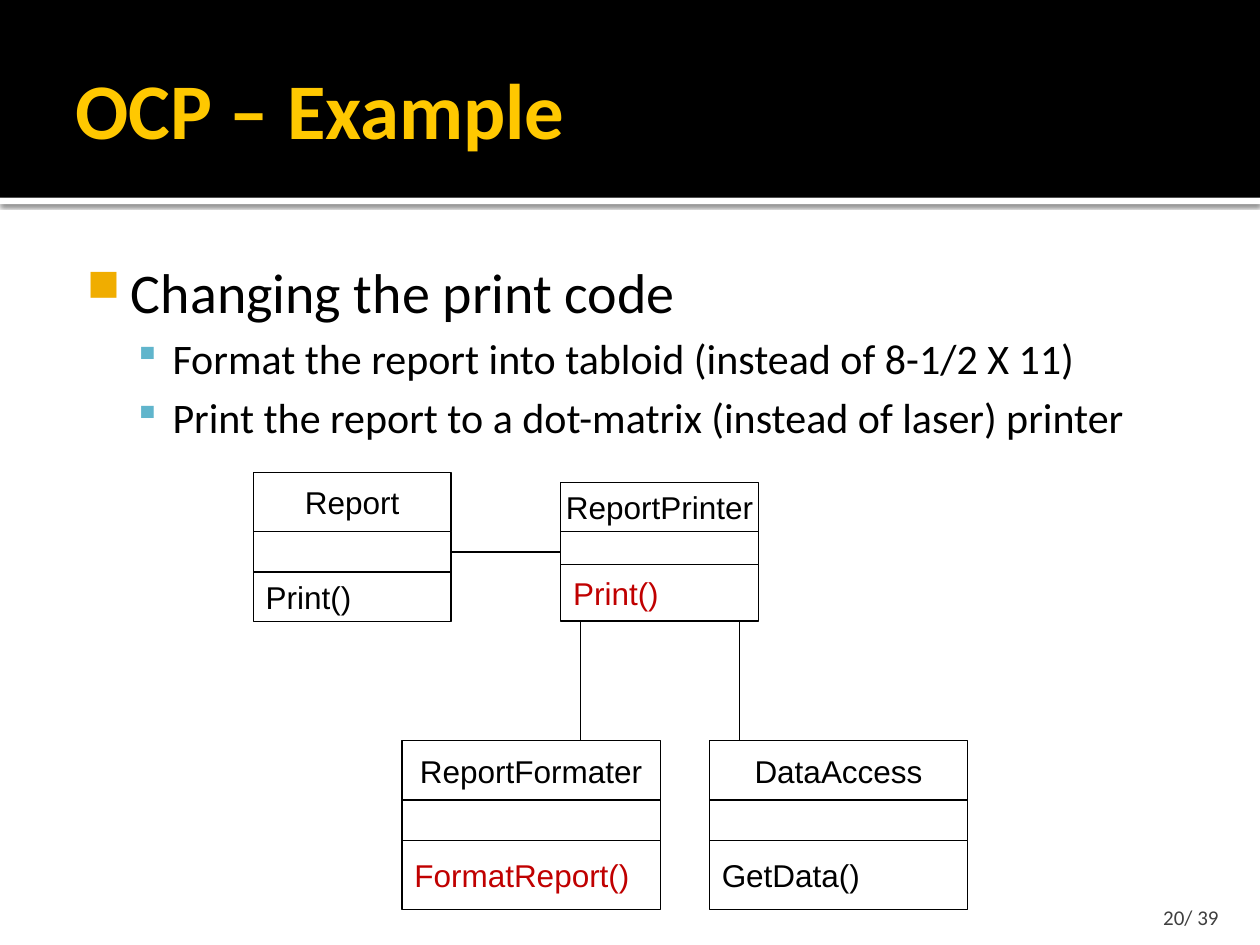
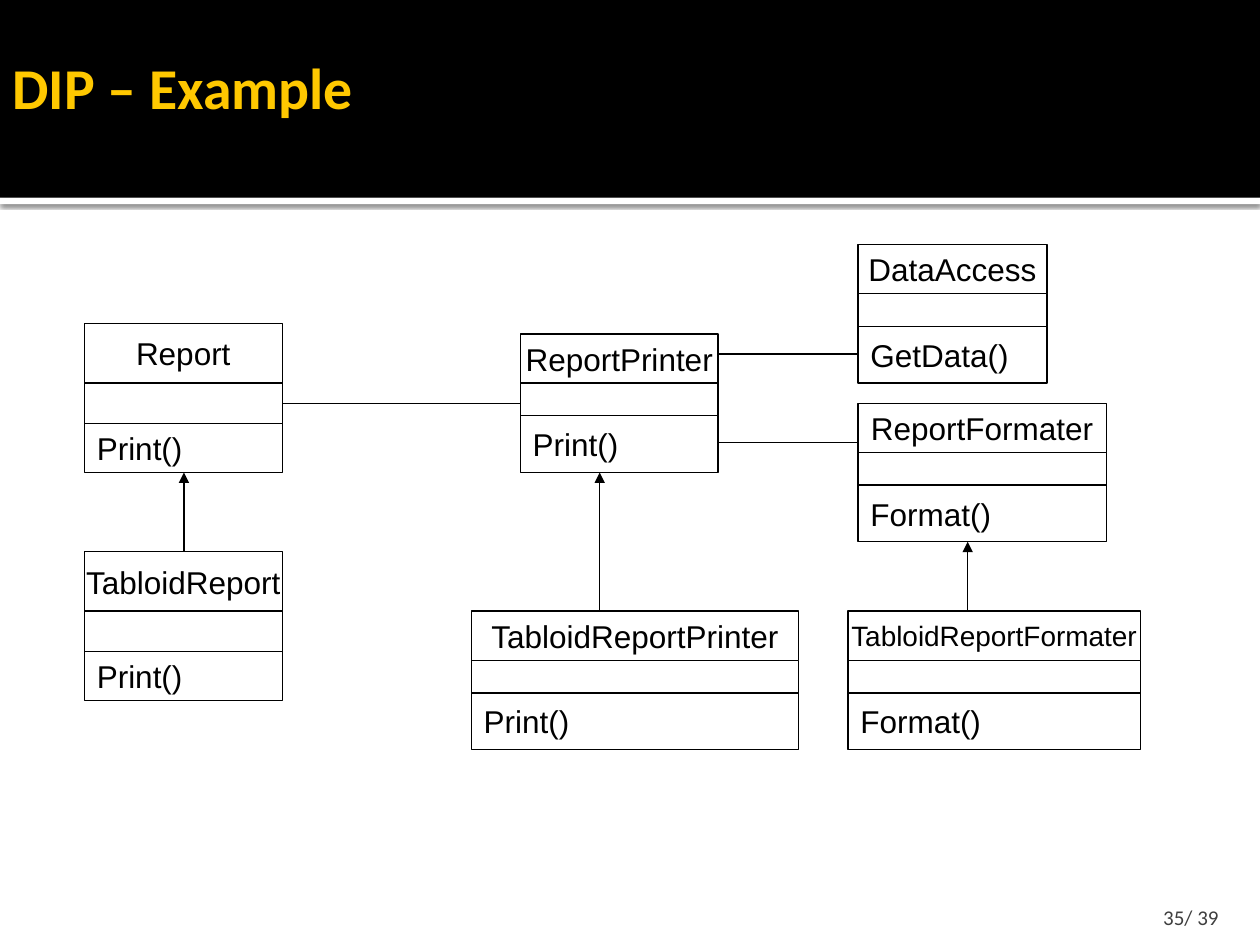
from lxml import etree
from pptx import Presentation
from pptx.dml.color import RGBColor
from pptx.enum.shapes import MSO_CONNECTOR as Connector, MSO_SHAPE as Shape
from pptx.enum.text import MSO_ANCHOR as Anchor, PP_ALIGN as Align
from pptx.oxml import parse_xml
from pptx.oxml.ns import nsdecls, qn
from pptx.util import Inches, Pt

BLACK = RGBColor(0x00, 0x00, 0x00)
WHITE = RGBColor(0xFF, 0xFF, 0xFF)
GOLD = RGBColor(0xFF, 0xC8, 0x00)
RED = RGBColor(0xC0, 0x00, 0x00)
GRAY = RGBColor(0x3F, 0x3F, 0x3F)
AMBER = RGBColor(0xF0, 0xAD, 0x00)
SKY = RGBColor(0x60, 0xB5, 0xCC)

HEADING_FONT, DIAGRAM_FONT = "Calibri", "Arial"
PAGE_COUNT = 39

# Heights of the name, attribute and method rows of a class box
COMPACT = (0.39, 0.26, 0.45)
TALL = (0.47, 0.32, 0.39)
ROOMY = (0.47, 0.32, 0.55)

# Left indent, hanging indent, bullet, bullet colour, bullet percent, text size, space before
BULLET_LEVELS = (
    (0.48, -0.35, "■", AMBER, 80, 32, 0),
    (0.81, -0.31, "▪", SKY, 90, 24, 4.8),
)


def write(para, text, size=18, font=DIAGRAM_FONT, color=BLACK, bold=False, align=Align.LEFT):
    para.alignment = align
    span = para.add_run()
    span.text = text
    span.font.size = Pt(size)
    span.font.name = font
    span.font.bold = bold
    span.font.color.rgb = color


def add_bullet(para, level):
    left, hang, mark, color, percent, _, before = BULLET_LEVELS[level]
    props = para._p.get_or_add_pPr()
    props.set("marL", str(Inches(left)))
    props.set("indent", str(Inches(hang)))
    props.set("lvl", str(level))
    para.space_before = Pt(before)
    bullet_color = etree.SubElement(props, qn("a:buClr"))
    etree.SubElement(bullet_color, qn("a:srgbClr"), val=str(color))
    etree.SubElement(props, qn("a:buSzPct"), val=str(percent * 1000))
    etree.SubElement(props, qn("a:buChar"), char=mark)


class SlideBuilder:
    def __init__(self, deck):
        self.deck = deck
        self.slide = None

    def start(self, title, number, left, top, size):
        """Add a slide with the shared band, page number and title."""
        self.slide = self.deck.slides.add_slide(self.deck.slide_layouts[6])
        strip = self.rectangle(0, 1.57, 10, 0.05, WHITE)
        strip._element.spPr.find(qn("a:effectLst")).append(parse_xml(
            f'<a:outerShdw {nsdecls("a")} blurRad="{Pt(2.5)}" dist="{Pt(0.8)}" dir="5400000">'
            '<a:srgbClr val="000000"><a:alpha val="60000"/></a:srgbClr></a:outerShdw>'))
        self.rectangle(0, 0, 10, 1.57, BLACK)
        page = self.text_box(8.97, 7.08, 0.8, 0.3, Anchor.BOTTOM, (0.1, 0.05, 0.1, 0))
        write(page.paragraphs[0], f"{number}/ {PAGE_COUNT}", size=12,
              font=HEADING_FONT, color=GRAY, align=Align.RIGHT)
        heading = self.text_box(left, top, 9, 1.37, Anchor.MIDDLE, (0.1, 0.05, 0.05, 0.05))
        write(heading.paragraphs[0], title, size=size,
              font=HEADING_FONT, color=GOLD, bold=True)

    def rectangle(self, left, top, width, height, fill, outline=None):
        box = self.slide.shapes.add_shape(
            Shape.RECTANGLE, Inches(left), Inches(top), Inches(width), Inches(height))
        box.shadow.inherit = False
        box.fill.solid()
        box.fill.fore_color.rgb = fill
        if outline is None:
            box.line.fill.background()
        else:
            box.line.color.rgb = outline
            box.line.width = Pt(0.75)
        return box

    def text_box(self, left, top, width, height, anchor, insets):
        box = self.slide.shapes.add_textbox(
            Inches(left), Inches(top), Inches(width), Inches(height))
        frame = box.text_frame
        frame.word_wrap = True
        frame.vertical_anchor = anchor
        (frame.margin_left, frame.margin_top,
         frame.margin_right, frame.margin_bottom) = map(Inches, insets)
        return frame

    def bullets(self, left, top, width, height, items):
        frame = self.text_box(left, top, width, height, Anchor.TOP, (0.06, 0.1, 0.1, 0.05))
        for index, (level, text) in enumerate(items):
            para = frame.add_paragraph() if index else frame.paragraphs[0]
            add_bullet(para, level)
            write(para, text, size=BULLET_LEVELS[level][5], font=HEADING_FONT)

    def class_box(self, name, method, left, top, width, rows=COMPACT,
                  name_size=18, method_color=BLACK):
        """Draw a class as three stacked rows: name, empty attributes, method."""
        formats = (
            (name, dict(size=name_size, align=Align.CENTER)),
            ("", {}),
            (method, dict(color=method_color)),
        )
        for height, (text, style) in zip(rows, formats):
            row = self.rectangle(left, top, width, height, WHITE, BLACK)
            if text:
                row.text_frame.word_wrap = False
                row.text_frame.vertical_anchor = Anchor.MIDDLE
                write(row.text_frame.paragraphs[0], text, **style)
            top += height

    def link(self, start, end, arrow=False):
        line = self.slide.shapes.add_connector(
            Connector.STRAIGHT, *map(Inches, (*start, *end)))
        line.line.color.rgb = BLACK
        line.line.width = Pt(0.75)
        if arrow:
            etree.SubElement(line.line._get_or_add_ln(), qn("a:tailEnd"), type="triangle")
        etree.SubElement(line._element.spPr, qn("a:effectLst"))


def build_open_closed(builder):
    builder.start("OCP – Example", 20, left=0.5, top=0.17, size=45)
    builder.bullets(0.5, 1.94, 9, 1.73, (
        (0, "Changing the print code"),
        (1, "Format the report into tabloid (instead of 8-1/2 X 11)"),
        (1, "Print the report to a dot-matrix (instead of laser) printer"),
    ))
    builder.class_box("DataAccess", "GetData()", 5.63, 5.88, 2.05, ROOMY)
    builder.class_box("ReportFormater", "FormatReport()", 3.19, 5.88, 2.05, ROOMY,
                      method_color=RED)
    builder.class_box("ReportPrinter", "Print()", 4.45, 3.83, 1.57, method_color=RED)
    builder.class_box("Report", "Print()", 2.01, 3.75, 1.57, TALL)
    for x in (4.61, 5.87):
        builder.link((x, 4.93), (x, 5.88))
    builder.link((3.58, 4.38), (4.45, 4.38))


def build_dependency_inversion(builder):
    builder.start("DIP – Example", 35, left=0, top=0, size=33)
    builder.class_box("DataAccess", "GetData()", 6.81, 1.94, 1.5)
    builder.class_box("ReportFormater", "Format()", 6.81, 3.2, 1.97)
    builder.class_box("ReportPrinter", "Print()", 4.13, 2.65, 1.57)
    builder.class_box("Report", "Print()", 0.67, 2.57, 1.57, TALL)
    builder.class_box("TabloidReport", "Print()", 0.67, 4.38, 1.57, TALL)
    builder.class_box("TabloidReportPrinter", "Print()", 3.74, 4.85, 2.6)
    builder.class_box("TabloidReportFormater", "Format()", 6.73, 4.85, 2.32, name_size=16)
    for left, right, y in ((5.71, 6.81, 2.81), (5.71, 6.81, 3.51), (2.24, 4.13, 3.2)):
        builder.link((left, y), (right, y))
    for x, child_top, parent_bottom in ((1.46, 4.38, 3.75), (4.76, 4.85, 3.75),
                                        (7.68, 4.85, 4.3)):
        builder.link((x, child_top), (x, parent_bottom), arrow=True)


def main():
    deck = Presentation()
    deck.slide_width, deck.slide_height = Inches(10), Inches(7.5)
    builder = SlideBuilder(deck)
    build_open_closed(builder)
    build_dependency_inversion(builder)
    deck.save("out.pptx")


if __name__ == "__main__":
    main()
